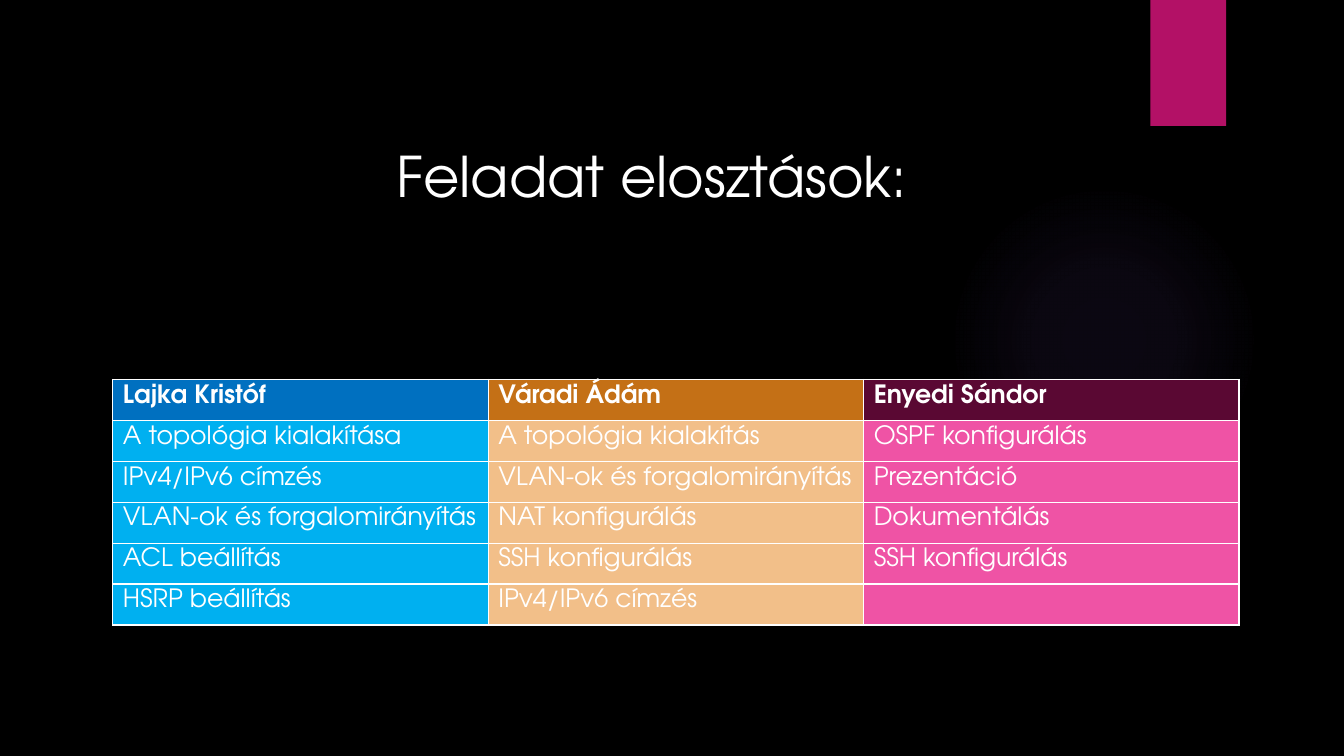
from dataclasses import dataclass

from lxml import etree
from pptx import Presentation
from pptx.dml.color import RGBColor
from pptx.enum.shapes import MSO_SHAPE
from pptx.enum.text import MSO_ANCHOR, MSO_AUTO_SIZE, PP_ALIGN
from pptx.oxml import parse_xml
from pptx.oxml.ns import qn
from pptx.util import Inches, Pt

RECTANGLE, ELLIPSE = MSO_SHAPE.RECTANGLE, MSO_SHAPE.OVAL
TOP, LEFT = MSO_ANCHOR.TOP, PP_ALIGN.LEFT
FIT_SHAPE = MSO_AUTO_SIZE.SHAPE_TO_FIT_TEXT
TITLE_ONLY = 5
DRAWING = "http://schemas.openxmlformats.org/drawingml/2006/main"


@dataclass(frozen=True)
class Theme:
    font: str = "TeX Gyre Adventor"
    title_size: int = 40
    table_size: int = 18
    border_width: int = 1
    background: str = "000000"
    text: str = "FFFFFF"
    tab: str = "B31166"
    glow: str = "9B6BF2"
    glow_stops: tuple = ((0, 7), (36, 6), (69, 0), (100, 0))  # position %, opacity %
    heads: tuple = ("0070C0", "C47016", "5A0833")
    bodies: tuple = ("00B0F0", "F2BF89", "EF53A5")


TASKS = {
    "Lajka Kristóf": ["A topológia kialakítása", "IPv4/IPv6 címzés",
                      "VLAN-ok és forgalomirányítás", "ACL beállítás", "HSRP beállítás"],
    "Váradi Ádám": ["A topológia kialakítás", "VLAN-ok és forgalomirányítás",
                    "NAT konfigurálás", "SSH konfigurálás", "IPv4/IPv6 címzés"],
    "Enyedi Sándor": ["OSPF konfigurálás", "Prezentáció", "Dokumentálás",
                      "SSH konfigurálás", ""],
}


def paint(fill, color):
    fill.solid()
    fill.fore_color.rgb = RGBColor.from_string(color)


class Page:
    """Draws on one slide; every area is left, top, width, height in % of its size."""

    def __init__(self, deck, theme):
        self.deck, self.theme = deck, theme
        self.slide = deck.slides.add_slide(deck.slide_layouts[TITLE_ONLY])
        paint(self.slide.background.fill, theme.background)

    def area(self, *shares):
        sides = (self.deck.slide_width, self.deck.slide_height) * 2
        return [round(side * share / 100) for side, share in zip(sides, shares)]

    def add_text(self, para, text, size, bold=False):
        span = para.add_run()
        span.text = text
        style = {"name": self.theme.font, "size": Pt(size), "bold": bold}
        for name, value in style.items():
            setattr(span.font, name, value)
        span.font.color.rgb = RGBColor.from_string(self.theme.text)

    def title(self, text, *shares):
        box = self.slide.shapes.title
        box.left, box.top, box.width, box.height = self.area(*shares)
        frame = box.text_frame
        style = {"word_wrap": False, "auto_size": FIT_SHAPE, "vertical_anchor": TOP}
        for name, value in style.items():
            setattr(frame, name, value)
        frame.paragraphs[0].alignment = LEFT
        self.add_text(frame.paragraphs[0], text, self.theme.title_size)

    def shape(self, kind, color, *shares):
        shape = self.slide.shapes.add_shape(kind, *self.area(*shares))
        shape.shadow.inherit = False
        shape.line.fill.background()
        paint(shape.fill, color)
        return shape

    def glow(self, *shares):
        """Add a circle that fades out from its centre."""
        shape = self.shape(ELLIPSE, self.theme.glow, *shares)
        stops = "".join(
            f'<a:gs pos="{position * 1000}"><a:srgbClr val="{self.theme.glow}">'
            f'<a:alpha val="{opacity * 1000}"/></a:srgbClr></a:gs>'
            for position, opacity in self.theme.glow_stops)
        gradient = parse_xml(
            f'<a:gradFill xmlns:a="{DRAWING}"><a:gsLst>{stops}</a:gsLst><a:path path="circle">'
            '<a:fillToRect l="50000" t="50000" r="50000" b="50000"/></a:path></a:gradFill>')
        properties = shape.element.spPr
        properties.replace(properties.find(qn("a:solidFill")), gradient)

    def border(self, cell):
        properties = cell._tc.get_or_add_tcPr()
        for index, side in enumerate(("a:lnL", "a:lnR", "a:lnT", "a:lnB")):
            line = etree.Element(qn(side), w=str(int(Pt(self.theme.border_width))))
            solid = etree.SubElement(line, qn("a:solidFill"))
            etree.SubElement(solid, qn("a:srgbClr"), val=self.theme.text)
            properties.insert(index, line)

    def table(self, columns, *shares):
        """Add a table from a dict of column heading to its entries."""
        row_count = 1 + max(map(len, columns.values()))
        table = self.slide.shapes.add_table(row_count, len(columns), *self.area(*shares)).table
        table.first_row = table.horz_banding = False
        palette = zip(columns.items(), self.theme.heads, self.theme.bodies)
        for column, ((heading, entries), head, body) in enumerate(palette):
            for row, text in enumerate([heading, *entries]):
                is_head = row == 0
                cell = table.cell(row, column)
                paint(cell.fill, head if is_head else body)
                self.border(cell)
                if text:
                    para = cell.text_frame.paragraphs[0]
                    self.add_text(para, text, self.theme.table_size, bold=is_head)


def main():
    deck = Presentation()
    deck.slide_width, deck.slide_height = Inches(13.33), Inches(7.5)
    theme = Theme()
    page = Page(deck, theme)
    page.glow(70.6, 24.4, 23.1, 41.07)
    page.shape(RECTANGLE, theme.tab, 85.6, 0, 5.63, 16.67)
    page.table(TASKS, 8.4, 50.2, 83.8, 32.5)
    page.title("Feladat elosztások:", 28.73, 18, 40.14, 10.27)
    deck.save("out.pptx")


if __name__ == "__main__":
    main()
